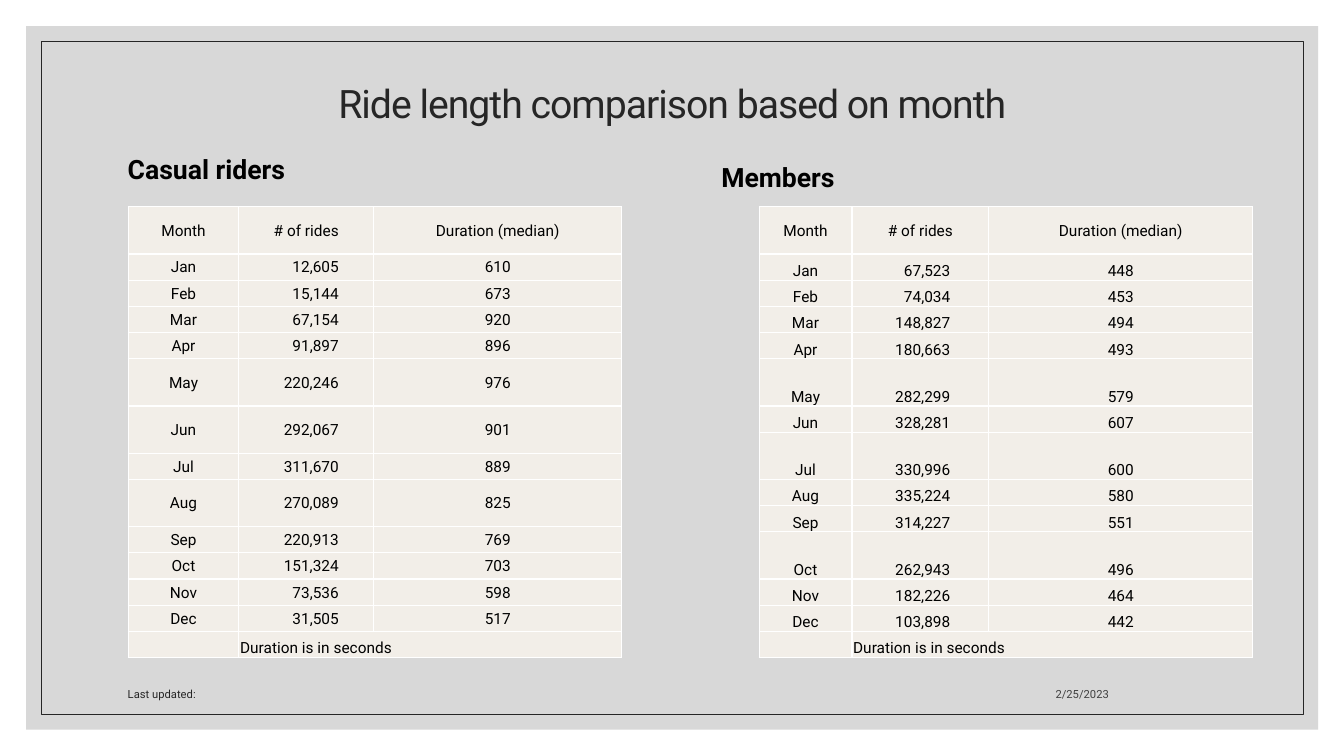
from dataclasses import dataclass

from lxml import etree
from pptx import Presentation
from pptx.dml.color import RGBColor
from pptx.enum.shapes import MSO_SHAPE
from pptx.enum.text import MSO_ANCHOR, PP_ALIGN
from pptx.oxml.ns import qn
from pptx.util import Cm, Pt

LEFT, CENTER, RIGHT = PP_ALIGN.LEFT, PP_ALIGN.CENTER, PP_ALIGN.RIGHT
MIDDLE, BOTTOM = MSO_ANCHOR.MIDDLE, MSO_ANCHOR.BOTTOM
RECTANGLE = MSO_SHAPE.RECTANGLE

FONT = "Roboto"
BLACK, INK, DATE_GREY = "000000", "262626", "404040"
BACKDROP, CELL, WHITE = "BFBFBF", "F2EEE8", "FFFFFF"
ROW, TALL_ROW = 0.66, 1.19
TABLE_TOP = 5.21
CELL_SIZE = 11

MONTHS = ["Jan", "Feb", "Mar", "Apr", "May", "Jun",
          "Jul", "Aug", "Sep", "Oct", "Nov", "Dec"]
HEADINGS = ["Month", "# of rides", "Duration (median)"]
UNIT_NOTE = "Duration is in seconds"


@dataclass
class Label:
    text: str
    box: tuple[float, float, float, float]
    size: float
    color: str
    anchor: MSO_ANCHOR
    align: PP_ALIGN = LEFT
    bold: bool = False
    line_spacing: float = 1.0
    tracking: int = 0


@dataclass
class RideTable:
    left: float
    columns: tuple[float, float, float]
    tall_months: set[str]
    anchor: MSO_ANCHOR
    rides_margin: float
    rides: list[int]
    medians: list[int]


LABELS = [
    Label("Ride length comparison based on month", (2.97, 1.78, 27.94, 1.78),
          28, INK, MIDDLE, CENTER, line_spacing=0.9, tracking=-70),
    Label("Casual riders", (2.97, 3.56, 12.95, 1.22), 19, BLACK, MIDDLE,
          bold=True, line_spacing=1.2),
    Label("Members", (17.93, 3.78, 12.95, 1.22), 19, BLACK, MIDDLE,
          bold=True, line_spacing=1.2),
    Label("2/25/2023", (20.17, 16.76, 8.03, 1.02), 8, DATE_GREY, BOTTOM, RIGHT),
    Label("Last updated:", (2.97, 16.76, 16.15, 1.02), 8, INK, BOTTOM),
]

CASUAL = RideTable(
    3.23, (2.79, 3.4, 6.25), {"May", "Jun", "Aug"}, MIDDLE, 0.88,
    [12605, 15144, 67154, 91897, 220246, 292067,
     311670, 270089, 220913, 151324, 73536, 31505],
    [610, 673, 920, 896, 976, 901, 889, 825, 769, 703, 598, 517])
MEMBERS = RideTable(
    19.13, (2.34, 3.45, 6.65), {"May", "Jul", "Oct"}, BOTTOM, 0.97,
    [67523, 74034, 148827, 180663, 282299, 328281,
     330996, 335224, 314227, 262943, 182226, 103898],
    [448, 453, 494, 493, 579, 607, 600, 580, 551, 496, 464, 442])


def rgb(color: str) -> RGBColor:
    return RGBColor.from_string(color)


def apply(target, formats: dict) -> None:
    for name, value in formats.items():
        setattr(target, name, value)


def add_rectangle(slide, box: tuple[float, float, float, float]):
    rectangle = slide.shapes.add_shape(RECTANGLE, *map(Cm, box))
    rectangle.shadow.inherit = False
    return rectangle


def add_backdrop(slide) -> None:
    """Draw the translucent grey panel and the thin frame inside it."""
    panel = add_rectangle(slide, (0.66, 0.66, 32.56, 17.73))
    panel.fill.solid()
    panel.fill.fore_color.rgb = rgb(BACKDROP)
    panel.line.fill.background()
    panel_color = panel.fill._xPr.find(".//" + qn("a:srgbClr"))
    etree.SubElement(panel_color, qn("a:alpha"), val="60000")

    frame = add_rectangle(slide, (1.04, 1.04, 31.8, 16.97))
    frame.fill.background()
    frame.line.color.rgb = rgb(INK)
    frame.line.width = Pt(0.5)


def write(paragraph, text: str, size: float, color: str, bold: bool = False):
    run = paragraph.add_run()
    run.text = text
    apply(run.font, {"name": FONT, "size": Pt(size), "bold": bold})
    run.font.color.rgb = rgb(color)
    return run


def add_label(slide, label: Label) -> None:
    frame = slide.shapes.add_textbox(*map(Cm, label.box)).text_frame
    apply(frame, {"word_wrap": True, "vertical_anchor": label.anchor})
    paragraph = frame.paragraphs[0]
    apply(paragraph, {"alignment": label.align,
                      "line_spacing": label.line_spacing})
    run = write(paragraph, label.text, label.size, label.color, label.bold)
    if label.tracking:
        run.font._element.set("spc", str(label.tracking))


def add_borders(cell) -> None:
    properties = cell._tc.get_or_add_tcPr()
    for position, side in enumerate(("lnL", "lnR", "lnT", "lnB")):
        border = etree.Element(qn(f"a:{side}"), w=str(Pt(1)))
        fill = etree.SubElement(border, qn("a:solidFill"))
        etree.SubElement(fill, qn("a:srgbClr"), val=WHITE)
        properties.insert(position, border)


def fill_cell(cell, text: str, align: PP_ALIGN, anchor: MSO_ANCHOR,
              right_margin: float) -> None:
    apply(cell, {"margin_left": Cm(0.03), "margin_right": Cm(right_margin),
                 "margin_top": Cm(0.03), "margin_bottom": 0,
                 "vertical_anchor": anchor})
    cell.fill.solid()
    cell.fill.fore_color.rgb = rgb(CELL)
    add_borders(cell)
    paragraph = cell.text_frame.paragraphs[0]
    paragraph.alignment = align
    if text:
        write(paragraph, text, CELL_SIZE, BLACK)
    else:
        etree.SubElement(paragraph._p, qn("a:endParaRPr"),
                         sz=str(CELL_SIZE * 100))


def add_ride_table(slide, data: RideTable) -> None:
    months = [[month, f"{rides:,}", str(median)] for month, rides, median
              in zip(MONTHS, data.rides, data.medians)]
    rows = [HEADINGS, *months, ["", UNIT_NOTE, ""]]
    tall = data.tall_months | {HEADINGS[0]}
    heights = [TALL_ROW if row[0] in tall else ROW for row in rows]
    table = slide.shapes.add_table(
        len(rows), len(HEADINGS), Cm(data.left), Cm(TABLE_TOP),
        Cm(sum(data.columns)), Cm(sum(heights))).table
    apply(table, {"first_row": False, "horz_banding": False})
    for column, width in zip(table.columns, data.columns):
        column.width = Cm(width)

    last = len(rows) - 1
    for r, (row, height) in enumerate(zip(rows, heights)):
        table.rows[r].height = Cm(height)
        for c, text in enumerate(row):
            align, anchor, margin = CENTER, data.anchor, 0.03
            if r == 0:
                anchor = MIDDLE
            elif r == last:
                align, anchor = LEFT, BOTTOM
            elif c == 1:
                align, margin = RIGHT, data.rides_margin
            fill_cell(table.cell(r, c), text, align, anchor, margin)
    table.cell(last, 1).merge(table.cell(last, 2))


def main() -> None:
    presentation = Presentation()
    apply(presentation, {"slide_width": Cm(33.87), "slide_height": Cm(19.05)})
    slide = presentation.slides.add_slide(presentation.slide_layouts[6])
    add_backdrop(slide)
    for label in LABELS:
        add_label(slide, label)
    for data in (MEMBERS, CASUAL):
        add_ride_table(slide, data)
    presentation.save("out.pptx")


if __name__ == "__main__":
    main()
